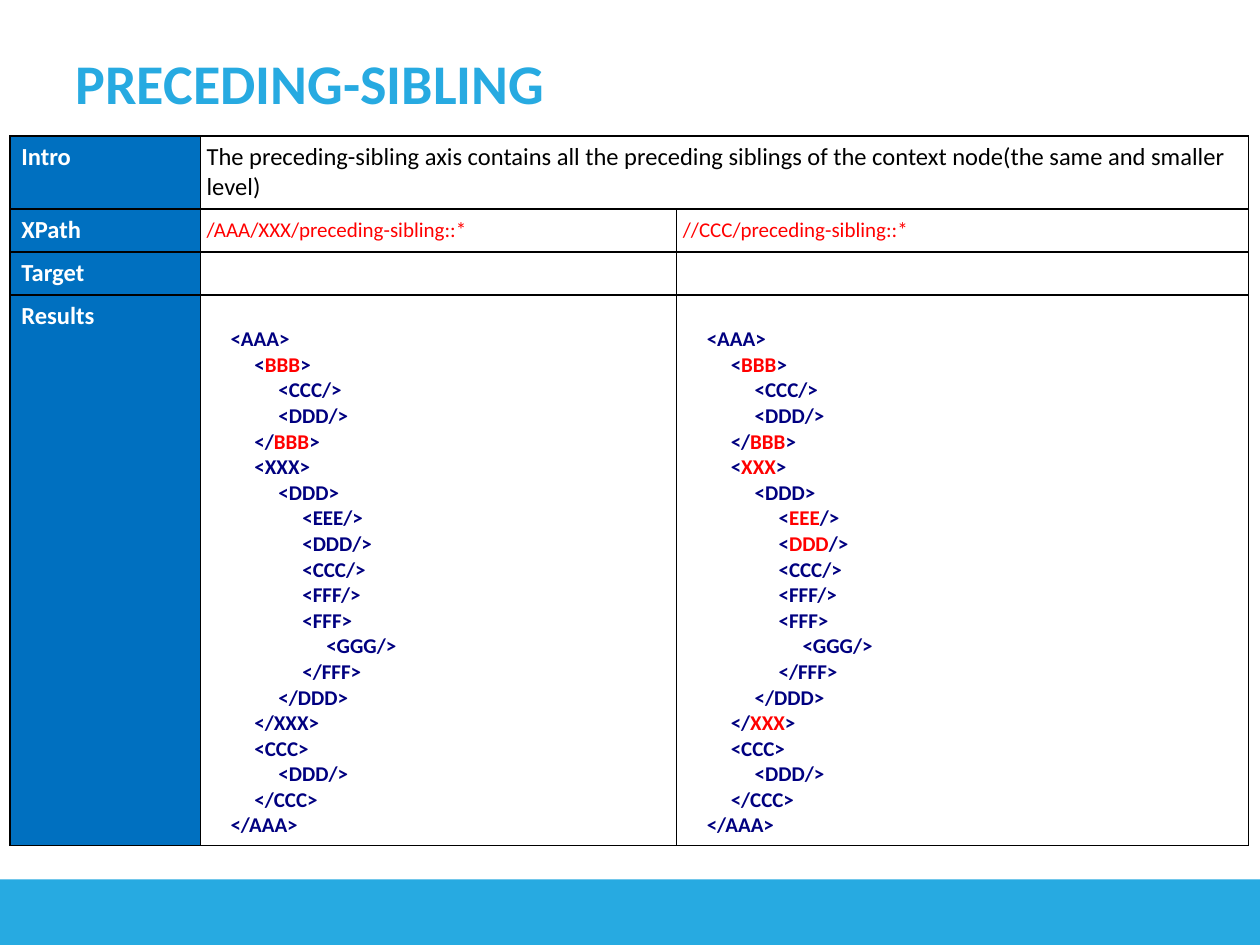
from dataclasses import dataclass

from lxml import etree
from pptx import Presentation
from pptx.dml.color import RGBColor
from pptx.enum.shapes import MSO_SHAPE
from pptx.enum.text import MSO_ANCHOR, PP_ALIGN
from pptx.oxml.ns import qn
from pptx.util import Inches, Pt

RECT = MSO_SHAPE.RECTANGLE
TOP, MIDDLE = MSO_ANCHOR.TOP, MSO_ANCHOR.MIDDLE
LEFT = PP_ALIGN.LEFT


@dataclass(frozen=True)
class Theme:
    font: str = "Calibri"
    accent: str = "27AAE1"
    label_fill: str = "0070C0"
    white: str = "FFFFFF"
    black: str = "000000"
    code: str = "000080"
    mark: str = "FF0000"
    title_size: int = 32
    text_size: int = 14
    code_size: int = 12


THEME = Theme()
PAD = Inches(0.05)
INDENT = Inches(0.19)
COLS = [1.51, 3.78, 4.54]
ROWS = [0.58, 0.34, 0.34, 4.37]
LABELS = ["Intro", "XPath", "Target", "Results"]
INTRO = ("The preceding-sibling axis contains all the preceding siblings "
         "of the context node(the same and smaller level)")
XPATHS = ["/AAA/XXX/preceding-sibling::*", "//CCC/preceding-sibling::*"]

# Document tree as (depth, tag), and the lines each XPath selects
TREE = [
    (1, "<AAA>"), (2, "<BBB>"), (3, "<CCC/>"), (3, "<DDD/>"), (2, "</BBB>"),
    (2, "<XXX>"), (3, "<DDD>"), (4, "<EEE/>"), (4, "<DDD/>"), (4, "<CCC/>"),
    (4, "<FFF/>"), (4, "<FFF>"), (5, "<GGG/>"), (4, "</FFF>"), (3, "</DDD>"),
    (2, "</XXX>"), (2, "<CCC>"), (3, "<DDD/>"), (2, "</CCC>"), (1, "</AAA>"),
]
SELECTED = [{1, 4}, {1, 4, 5, 7, 8, 15}]


def style(p, size, color, bold=False):
    p.alignment = LEFT
    p.font.name = THEME.font
    p.font.size = Pt(size)
    p.font.bold = bold
    p.font.color.rgb = RGBColor.from_string(color)


def format_cell(cell, fill=None, anchor=TOP):
    cell.margin_left = cell.margin_right = PAD
    cell.margin_top = cell.margin_bottom = PAD
    cell.vertical_anchor = anchor
    tc_pr = cell._tc.get_or_add_tcPr()
    for side in ("lnL", "lnR", "lnT", "lnB"):
        ln = etree.SubElement(tc_pr, qn(f"a:{side}"), w=str(Pt(1)))
        solid = etree.SubElement(ln, qn("a:solidFill"))
        etree.SubElement(solid, qn("a:srgbClr"), val=THEME.black)
    if fill:
        cell.fill.solid()
        cell.fill.fore_color.rgb = RGBColor.from_string(fill)
    else:
        cell.fill.background()


prs = Presentation()
prs.slide_width, prs.slide_height = Inches(10), Inches(7.5)
s = prs.slides.add_slide(prs.slide_layouts[5])

# Bottom band
sp = s.shapes.add_shape(RECT, Inches(-0.03), Inches(6.98), Inches(10.09), Inches(0.65))
sp.shadow.inherit = False
sp.fill.solid()
sp.fill.fore_color.rgb = RGBColor.from_string(THEME.accent)
sp.line.fill.background()

# Title
title = s.shapes.title
title.left, title.top = Inches(0.5), Inches(0.3)
title.width, title.height = Inches(6.85), Inches(0.7)
tf = title.text_frame
tf.text = "PRECEDING-SIBLING"
tf.vertical_anchor = MIDDLE
style(tf.paragraphs[0], THEME.title_size, THEME.accent, bold=True)

# Table grid
table = s.shapes.add_table(len(ROWS), len(COLS), Inches(0.08), Inches(1.08),
                           Inches(sum(COLS)), Inches(sum(ROWS))).table
table.first_row = table.horz_banding = False
for col, width in zip(table.columns, COLS):
    col.width = Inches(width)
for row, height in zip(table.rows, ROWS):
    row.height = Inches(height)
table.cell(0, 1).merge(table.cell(0, 2))

# Label column
for i, label in enumerate(LABELS):
    cell = table.cell(i, 0)
    format_cell(cell, THEME.label_fill)
    cell.margin_left = Inches(0.09)
    cell.text = label
    style(cell.text_frame.paragraphs[0], THEME.text_size, THEME.white, bold=True)

# Intro across both example columns
cell = table.cell(0, 1)
cell.text = INTRO
style(cell.text_frame.paragraphs[0], THEME.text_size, THEME.black)

# One column per example
for c, (xpath, selected) in enumerate(zip(XPATHS, SELECTED), start=1):
    for i, anchor in enumerate([TOP, MIDDLE, TOP, MIDDLE]):
        format_cell(table.cell(i, c), anchor=anchor)

    cell = table.cell(1, c)
    cell.text = xpath
    style(cell.text_frame.paragraphs[0], THEME.code_size, THEME.mark)

    # Without padding the empty target cell keeps its row height
    target = table.cell(2, c)
    target.margin_top = target.margin_bottom = 0

    results = table.cell(3, c)
    results.margin_top = Inches(0.25)
    tf = results.text_frame
    for i, (depth, tag) in enumerate(TREE):
        p = tf.add_paragraph() if i else tf.paragraphs[0]
        style(p, THEME.code_size, THEME.code, bold=True)
        p._p.get_or_add_pPr().set("marL", str(depth * INDENT))
        if i in selected:
            for part in tag.partition(tag.strip("</>")):
                r = p.add_run()
                r.text = part
                if part.isalpha():
                    r.font.color.rgb = RGBColor.from_string(THEME.mark)
        else:
            p.add_run().text = tag

prs.save("out.pptx")
